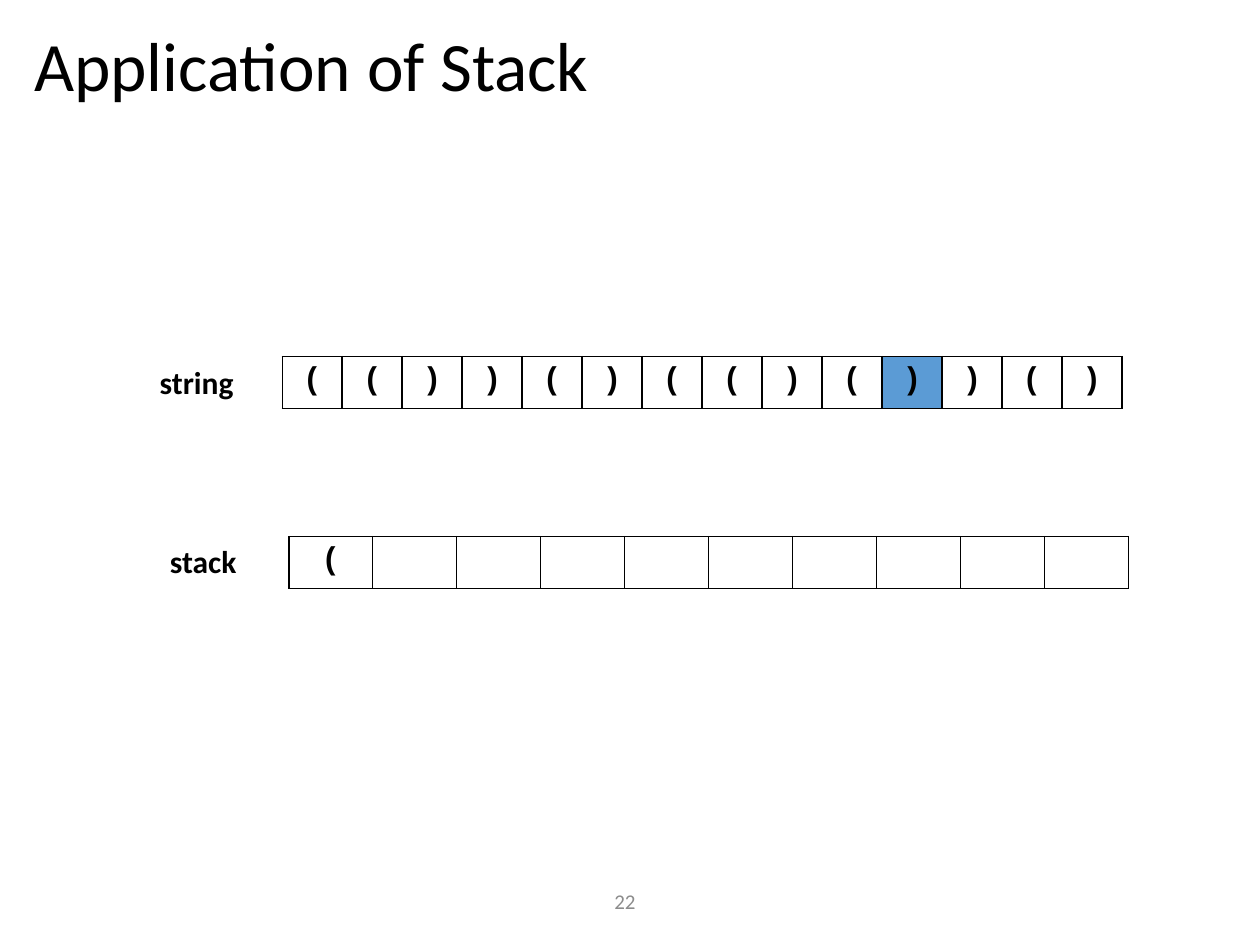
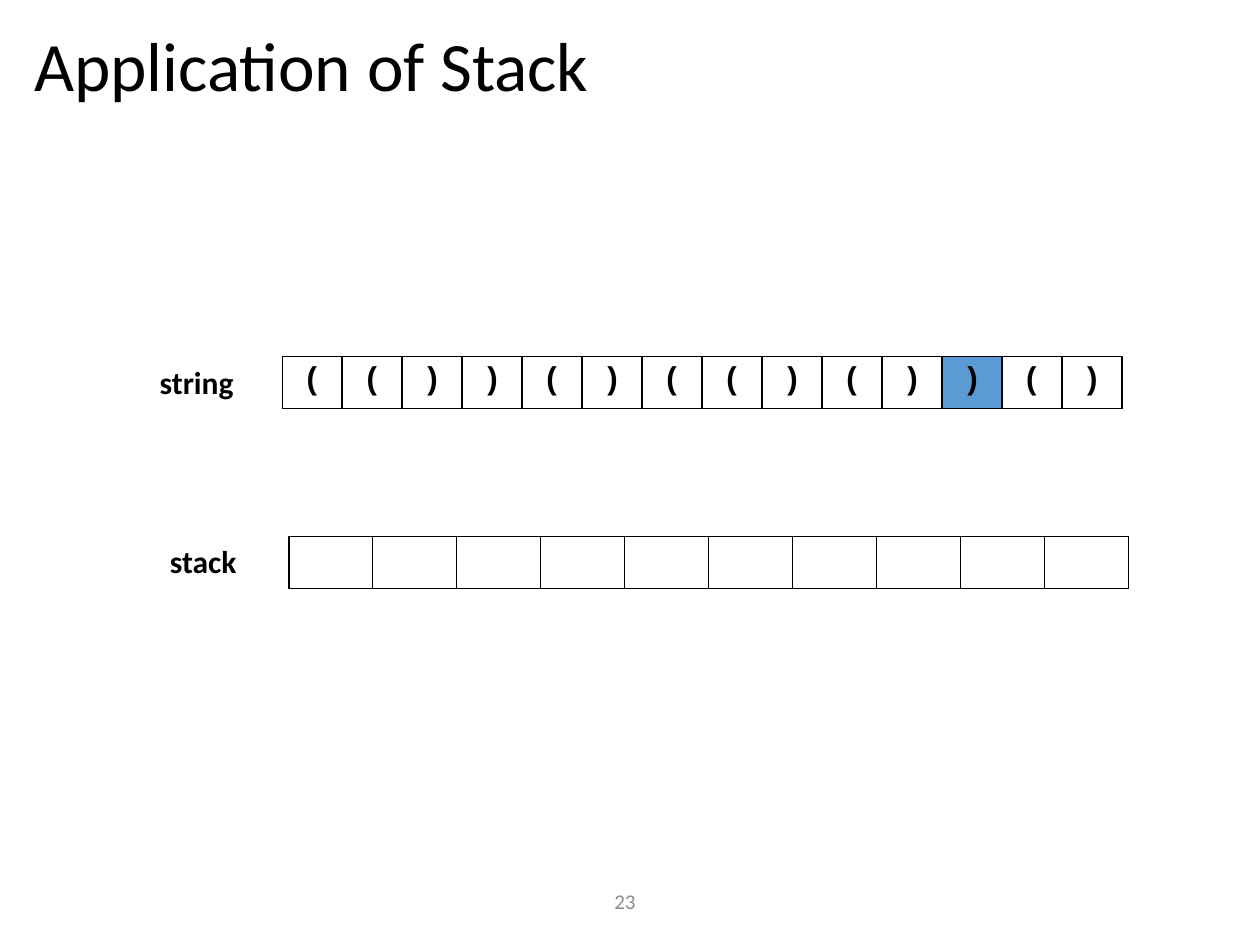
import pptx
import pptx.util
import pptx.dml.color
import pptx.enum.text
import pptx.oxml
import pptx.oxml.ns
from dataclasses import dataclass

Pt = pptx.util.Pt
Align = pptx.enum.text.PP_ALIGN
Anchor = pptx.enum.text.MSO_ANCHOR


@dataclass(frozen=True)
class Theme:
    black: str = "000000"
    grey: str = "8C8C8C"
    highlight: str = "5B9BD5"
    text_font: str = "Calibri"
    code_font: str = "Courier New"
    title_size: float = 39.6
    body_size: float = 18
    number_size: float = 12
    border_width: float = 1


theme = Theme()


def format_text(frame, size, color, font=theme.text_font, bold=False, align=Align.LEFT):
    for para in frame.paragraphs:
        para.alignment = align
        for span in para.runs:
            span.font.name = font
            span.font.size = Pt(size)
            span.font.bold = bold
            span.font.color.rgb = pptx.dml.color.RGBColor.from_string(color)


def add_border(cell):
    properties = cell._tc.get_or_add_tcPr()
    for position, side in enumerate(("lnL", "lnR", "lnT", "lnB")):
        line = pptx.oxml.parse_xml(
            f'<a:{side} {pptx.oxml.ns.nsdecls("a")} w="{Pt(theme.border_width)}">'
            f'<a:solidFill><a:srgbClr val="{theme.black}"/></a:solidFill></a:{side}>')
        properties.insert(position, line)


# Content: page number, position being read, symbols on the stack
brackets = "(())()(()())()"
stack_slots = 10
steps = [(22, 10, "("), (23, 11, "")]
row_width, row_height, label_height = 480, 29.5, 29

deck = pptx.Presentation()
deck.slide_width, deck.slide_height = Pt(720), Pt(540)

for page_number, current, stacked in steps:
    page = deck.slides.add_slide(deck.slide_layouts[5])

    # Title
    title = page.shapes.title
    title.left, title.top, title.width, title.height = Pt(12.24), Pt(13), Pt(692.5), Pt(53.3)
    title.text_frame.text = "Application of Stack"
    title.text_frame.vertical_anchor = Anchor.MIDDLE
    title.text_frame.paragraphs[0].line_spacing = 0.9
    format_text(title.text_frame, theme.title_size, theme.black)

    # Page number
    box = page.shapes.add_textbox(Pt(188.6), Pt(500.4), Pt(337), Pt(28.8))
    box.text_frame.word_wrap = True
    box.text_frame.vertical_anchor = Anchor.MIDDLE
    box.text_frame.text = str(page_number)
    format_text(box.text_frame, theme.number_size, theme.grey, align=Align.CENTER)

    # Labelled rows of cells: symbols, highlighted cell, table and label places
    rows = [
        ("stack", stacked.ljust(stack_slots), None, 165, 306.7, 90, 306, 64),
        ("string", brackets, current, 161.3, 203.8, 84.2, 203.8, 67),
    ]
    for name, symbols, marked, left, top, label_left, label_top, label_width in rows:
        frame = page.shapes.add_table(1, len(symbols), Pt(left), Pt(top),
                                      Pt(row_width), Pt(row_height))
        table = frame.table
        table.first_row = table.horz_banding = False
        for index, symbol in enumerate(symbols):
            table.columns[index].width = Pt(row_width / len(symbols))
            cell = table.cell(0, index)
            cell.text_frame.text = symbol.strip()
            format_text(cell.text_frame, theme.body_size, theme.black,
                        theme.code_font, True, Align.CENTER)
            if index == marked:
                cell.fill.solid()
                cell.fill.fore_color.rgb = pptx.dml.color.RGBColor.from_string(theme.highlight)
            else:
                cell.fill.background()
            add_border(cell)

        label = page.shapes.add_textbox(Pt(label_left), Pt(label_top),
                                        Pt(label_width), Pt(label_height))
        label.text_frame.word_wrap = True
        label.text_frame.auto_size = pptx.enum.text.MSO_AUTO_SIZE.SHAPE_TO_FIT_TEXT
        label.text_frame.text = name
        format_text(label.text_frame, theme.body_size, theme.black, bold=True)

deck.save("out.pptx")
